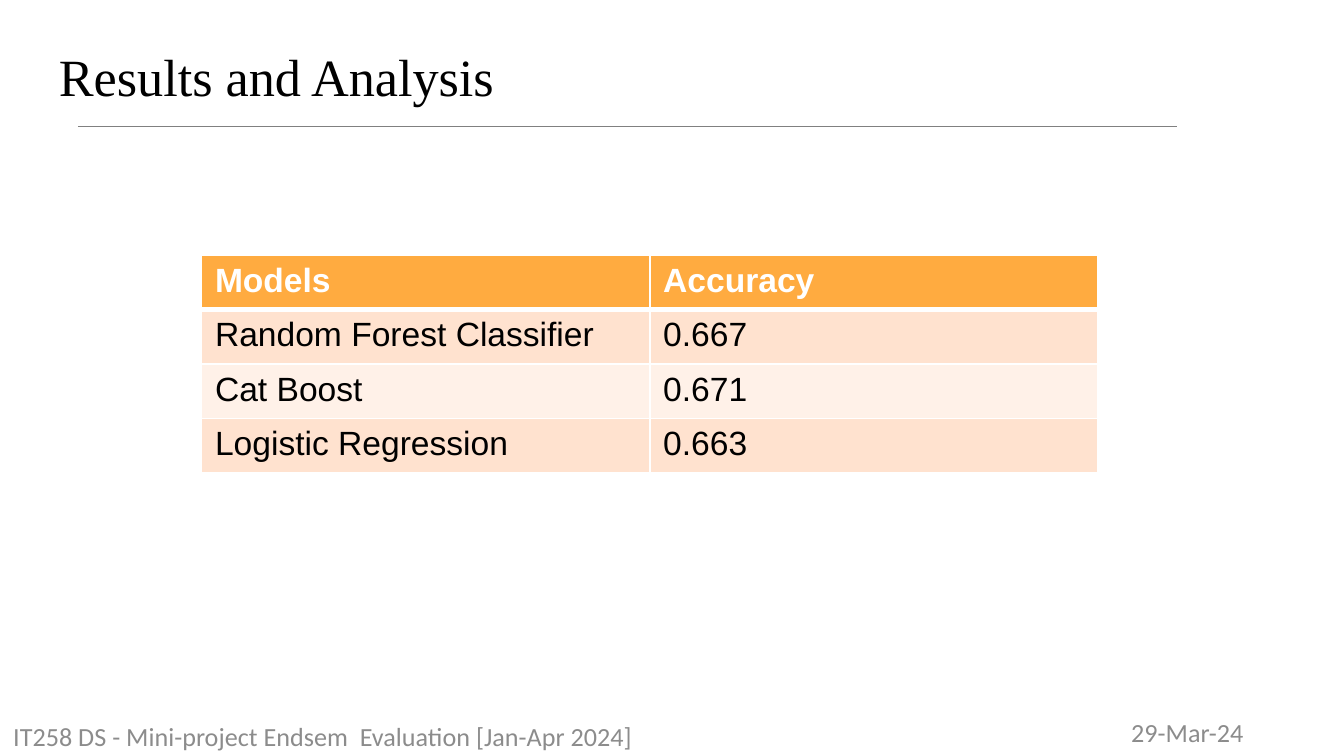
from dataclasses import dataclass

from lxml import etree
from pptx import Presentation
from pptx.dml.color import RGBColor
from pptx.enum.shapes import MSO_CONNECTOR
from pptx.enum.text import MSO_ANCHOR, PP_ALIGN
from pptx.oxml.ns import qn
from pptx.util import Inches, Pt

STRAIGHT = MSO_CONNECTOR.STRAIGHT
TOP, MIDDLE = MSO_ANCHOR.TOP, MSO_ANCHOR.MIDDLE
LEFT, CENTER = PP_ALIGN.LEFT, PP_ALIGN.CENTER
WHITE, BLACK, GRAY = "FFFFFF", "000000", "8C8C8C"
HEADER_FILL, BAND_FILLS = "FFAB40", ("FFE2CF", "FFF1E8")


@dataclass
class Label:
    """A line of text and its box, in inches."""
    text: str
    left: float
    top: float
    width: float
    height: float
    font: str
    size: float
    color: str
    align: PP_ALIGN = LEFT
    anchor: MSO_ANCHOR = MIDDLE
    inset: float = 0.05


LABELS = [
    Label("Results and Analysis", 0.34, 0.23, 9.32, 0.63,
          "Times New Roman", 28, BLACK, anchor=TOP, inset=0.1),
    Label("29-Mar-24", 7.67, 5.32, 2.33, 0.25, "Calibri", 14, GRAY, CENTER),
    Label("IT258 DS - Mini-project Endsem  Evaluation [Jan-Apr 2024]",
          0, 5.32, 6.42, 0.31, "Calibri", 14, GRAY),
]
RESULTS = [
    ("Models", "Accuracy"),
    ("Random Forest Classifier", "0.667"),
    ("Cat Boost", "0.671"),
    ("Logistic Regression", "0.663"),
]


def rgb(color: str) -> RGBColor:
    """Turn a hex string into a colour."""
    return RGBColor.from_string(color)


def style_text(p, font: str, size: float, color: str, bold: bool = False) -> None:
    """Set the font of a paragraph."""
    p.font.name = font
    p.font.size = Pt(size)
    p.font.bold = bold
    p.font.color.rgb = rgb(color)


def add_label(s, label: Label) -> None:
    """Draw a text box."""
    box = s.shapes.add_textbox(Inches(label.left), Inches(label.top),
                               Inches(label.width), Inches(label.height))
    tf = box.text_frame
    tf.word_wrap = True
    tf.vertical_anchor = label.anchor
    tf.margin_top = tf.margin_bottom = Inches(label.inset)
    p = tf.paragraphs[0]
    p.text = label.text
    p.alignment = label.align
    style_text(p, label.font, label.size, label.color)


def add_rule(s, x1: float, x2: float, y: float) -> None:
    """Draw the thin line below the title."""
    line = s.shapes.add_connector(STRAIGHT, Inches(x1), Inches(y), Inches(x2), Inches(y))
    line.line.color.rgb = rgb("808080")
    line.line.width = Pt(0.5)
    etree.SubElement(line._element.spPr, qn("a:effectLst"))


def set_borders(cell, top: float, bottom: float) -> None:
    """Give a cell white borders, with widths in points."""
    tc_pr = cell._tc.get_or_add_tcPr()
    sides = {"a:lnL": 1, "a:lnR": 1, "a:lnT": top, "a:lnB": bottom}
    for i, (tag, width) in enumerate(sides.items()):
        ln = etree.Element(qn(tag), w=str(Pt(width)))
        fill = etree.SubElement(ln, qn("a:solidFill"))
        etree.SubElement(fill, qn("a:srgbClr"), val=WHITE)
        tc_pr.insert(i, ln)


def add_results(s, rows: list[tuple[str, str]]) -> None:
    """Draw the table of model accuracies."""
    table = s.shapes.add_table(len(rows), len(rows[0]), Inches(1.5), Inches(1.9),
                               Inches(6.67), Inches(1.62)).table
    for i, row in enumerate(rows):
        header = i == 0
        for j, text in enumerate(row):
            cell = table.cell(i, j)
            cell.fill.solid()
            cell.fill.fore_color.rgb = rgb(HEADER_FILL if header else BAND_FILLS[(i - 1) % 2])
            set_borders(cell, top=3 if i == 1 else 1, bottom=3 if header else 1)
            p = cell.text_frame.paragraphs[0]
            p.text = text
            style_text(p, "Arial", 18, WHITE if header else BLACK, header)


def main() -> None:
    """Build the slide and save it."""
    prs = Presentation()
    prs.slide_width = Inches(10)
    prs.slide_height = Inches(10 * 9 / 16)
    s = prs.slides.add_slide(prs.slide_layouts[6])
    add_rule(s, 0.58, 8.76, 0.94)
    for label in LABELS:
        add_label(s, label)
    add_results(s, RESULTS)
    prs.save("out.pptx")


if __name__ == "__main__":
    main()
